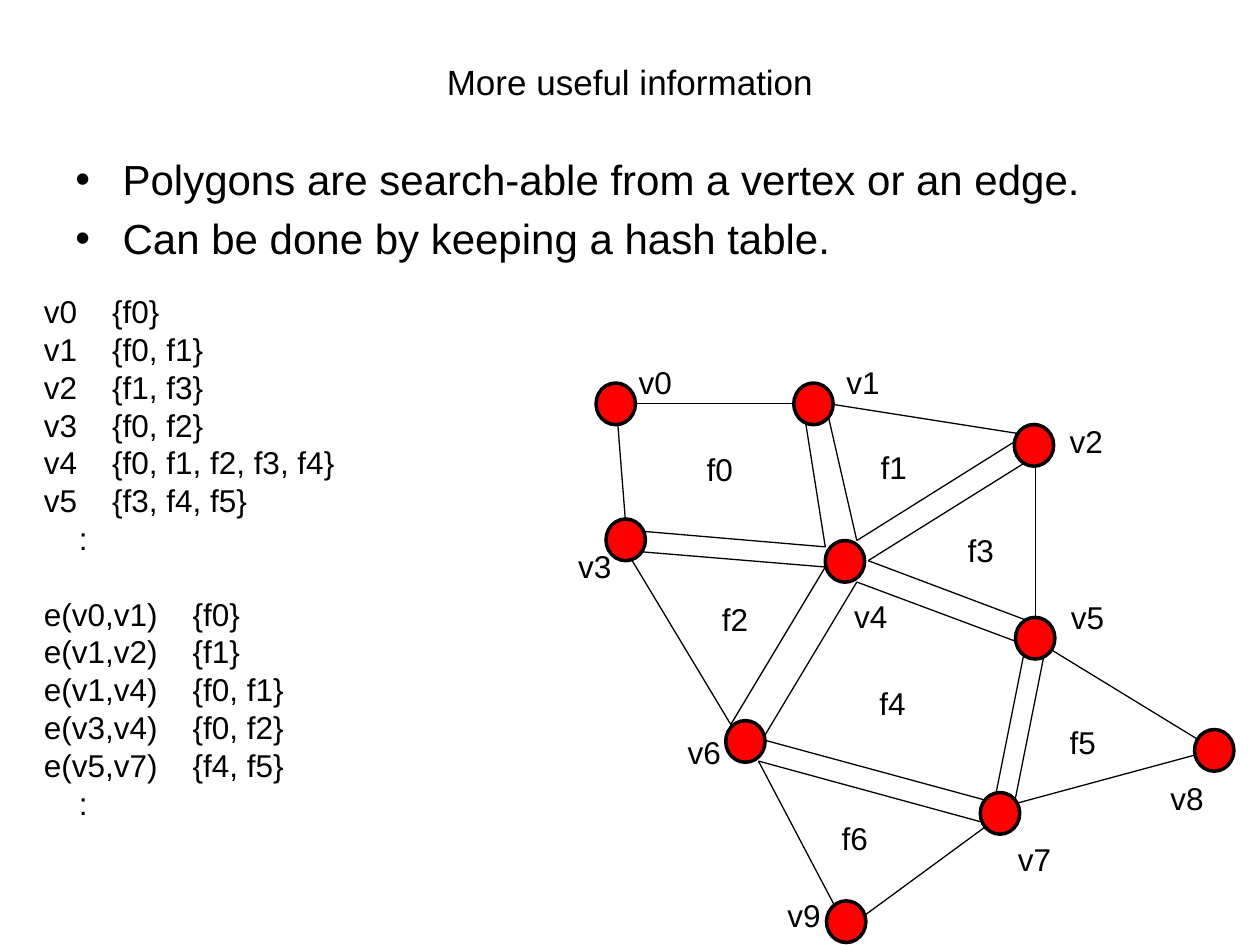
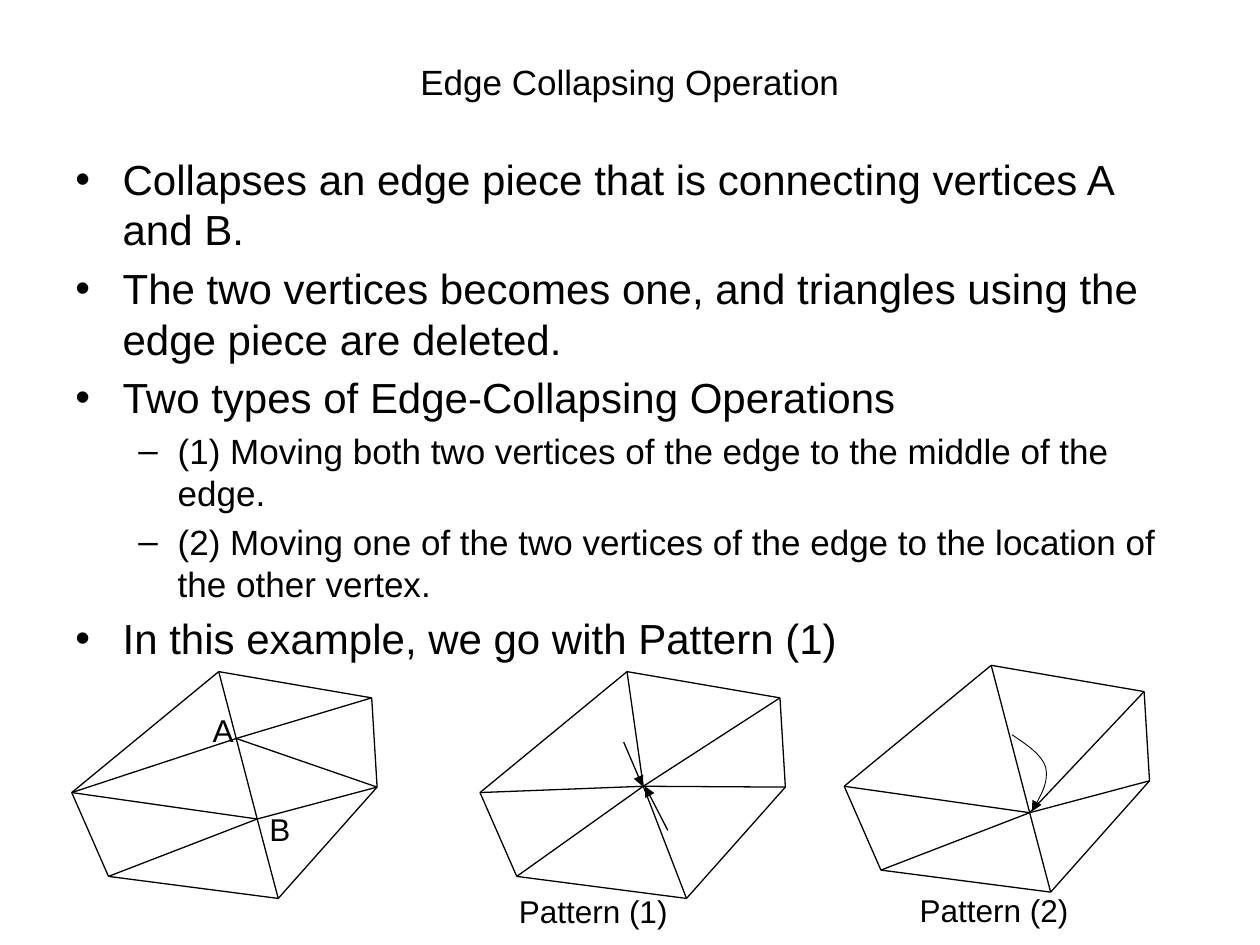
from pptx import Presentation
from pptx.dml.color import RGBColor
from pptx.enum.shapes import MSO_CONNECTOR, MSO_SHAPE
from pptx.enum.text import MSO_ANCHOR, PP_ALIGN
from pptx.oxml.ns import qn
from pptx.util import Pt
from lxml.etree import SubElement

COLORS = {"ink": "000000", "vertex": "FF0000"}
FONT = "Arial"
LEVELS = [
    {"size": 24, "margin": 27, "hang": 27, "bullet": "•"},
    {"size": 20, "margin": 58.5, "hang": 22.5, "bullet": "–"},
]

HASH_POINTS = [(0, "Polygons are search-able from a vertex or an edge."),
               (0, "Can be done by keeping a hash table.")]
VERTEX_FACES = [("v0", "{f0}"), ("v1", "{f0, f1}"), ("v2", "{f1, f3}"),
                ("v3", "{f0, f2}"), ("v4", "{f0, f1, f2, f3, f4}"),
                ("v5", "{f3, f4, f5}")]
EDGE_FACES = [("e(v0,v1)", "{f0}"), ("e(v1,v2)", "{f1}"), ("e(v1,v4)", "{f0, f1}"),
              ("e(v3,v4)", "{f0, f2}"), ("e(v5,v7)", "{f4, f5}")]
FACES = {
    "f0": ((396.7, 253.4), [(352.1, 230.4), (357.8, 302.8), (471.6, 312.5), (458.6, 230.4)]),
    "f1": ((496.1, 252.7), [(471.6, 230.4), (489.6, 308.9), (586.1, 248.4)]),
    "f2": ((405.4, 339.1), [(471.6, 324), (417.6, 414), (357.8, 314.6)]),
    "f3": ((545.8, 300.2), [(496.1, 320.4), (591.8, 356.4), (591.8, 260.6)]),
    "f4": ((495.4, 387.4), [(489.6, 332.6), (435.6, 422.6), (568.1, 458.6), (586.1, 368.6)]),
    "f5": ((604.1, 409.7), [(694.1, 428.4), (597.6, 369.4), (579.6, 459.4)]),
    "f6": ((473.8, 464.4), [(433.4, 434.9), (483.8, 530.6), (565.2, 470.9)]),
}
VERTICES = {
    "v0": ((340.6, 218.9), (357.8, 203.8)),
    "v1": ((453.6, 218.9), (476.6, 203.8)),
    "v2": ((579.6, 242.6), (604.1, 237.6)),
    "v3": ((346.3, 296.6), (323.3, 308.9)),
    "v4": ((471.6, 308.9), (481, 337.7)),
    "v5": ((580.3, 352.8), (604.8, 338.4)),
    "v6": ((414.7, 411.8), (385.9, 415.4)),
    "v7": ((560.2, 452.9), (574.6, 476.6)),
    "v8": ((682.6, 416.9), (661.7, 441.4)),
    "v9": ((472.3, 514.8), (442.8, 508.3)),
}

COLLAPSE_POINTS = [
    (0, "Collapses an edge piece that is connecting vertices A and B."),
    (0, "The two vertices becomes one, and triangles using the edge piece are deleted."),
    (0, "Two types of Edge-Collapsing Operations"),
    (1, "(1) Moving both two vertices of the edge to the middle of the edge."),
    (1, "(2) Moving one of the two vertices of the edge to the location of the other vertex."),
    (0, "In this example, we go with Pattern (1)"),
]
RIM = ["top", "upper", "right", "bottom", "lower", "left"]
MESH = {"top": (84, 0), "upper": (171.4, 15), "right": (174.5, 66),
        "bottom": (118, 129.6), "lower": (21, 117), "left": (0, 69.1),
        "A": (94, 38.2), "B": (106, 84.2), "middle": (93.3, 65.5)}
COLLAPSES = [
    ((41, 383.8), {"A": ["top", "left", "upper", "right", "B"],
                   "B": ["left", "right", "lower", "bottom"]}),
    ((274.3, 383.8), {"middle": RIM}),
    ((482.4, 380.2), {"A": ["top", "B"],
                      "B": ["upper", "left", "right", "lower", "bottom"]}),
]
MERGE_ARROWS = [((356.4, 424.1), (367.2, 449.3)), ((381.6, 474.5), (368.6, 449.3))]
MOVE_CURVE = [(578.2, 419.8), (586.8, 425.5), (595.4, 431.3), (597.6, 438.5),
              (599, 446.4), (594.7, 455), (589.7, 463.7)]
CAPTIONS = {"A": (114.5, 402.5), "B": (146.9, 459.4),
            "Pattern (1)": (289.4, 506.2), "Pattern (2)": (518.4, 505.4)}


class Deck:
    """Holds the shared style and draws on the current slide."""

    def __init__(self):
        self.show = Presentation()
        self.show.slide_width, self.show.slide_height = Pt(720), Pt(540)
        self.shapes = None

    def slide(self, title, points):
        self.shapes = self.show.slides.add_slide(self.show.slide_layouts[6]).shapes
        heading = self.frame(36, 21.6, 648, 50.4)
        heading.vertical_anchor = MSO_ANCHOR.MIDDLE
        self.add_words(heading.paragraphs[0], title, 20)
        heading.paragraphs[0].alignment = PP_ALIGN.CENTER
        self.bullets(points)

    def frame(self, left, top, width, height):
        frame = self.shapes.add_textbox(Pt(left), Pt(top), Pt(width), Pt(height)).text_frame
        frame.word_wrap = True
        return frame

    def add_words(self, paragraph, text, size=18):
        run = paragraph.add_run()
        run.text = text
        run.font.size, run.font.name = Pt(size), FONT
        run.font.color.rgb = RGBColor.from_string(COLORS["ink"])

    def paragraph(self, frame, first):
        return frame.paragraphs[0] if first else frame.add_paragraph()

    def bullets(self, points):
        body = self.frame(36, 84.2, 648, 398)
        for index, (depth, text) in enumerate(points):
            level = LEVELS[depth]
            point = self.paragraph(body, index == 0)
            point.level = depth
            point.space_before = Pt(level["size"] * 0.2)
            props = point._p.get_or_add_pPr()
            props.set("marL", str(Pt(level["margin"])))
            props.set("indent", str(-Pt(level["hang"])))
            SubElement(props, qn("a:buFont"), typeface=FONT)
            SubElement(props, qn("a:buChar"), char=level["bullet"])
            self.add_words(point, text, level["size"])

    def lookup(self, frame, rows, column, gap=0):
        for index, (key, faces) in enumerate(rows):
            entry = self.paragraph(frame, not frame.text)
            entry.space_before = Pt(0 if index else gap)
            stops = SubElement(entry._p.get_or_add_pPr(), qn("a:tabLst"))
            SubElement(stops, qn("a:tab"), pos=str(Pt(column)), algn="l")
            self.add_words(entry, f"{key}\t{faces}")
        more = frame.add_paragraph()
        more._p.get_or_add_pPr().set("marL", str(Pt(20)))
        self.add_words(more, ":")

    def label(self, text, place, width=57):
        self.add_words(self.frame(*place, width, 28.8).paragraphs[0], text)

    def stroke(self, line, weight, arrow=False):
        line.color.rgb = RGBColor.from_string(COLORS["ink"])
        line.width = Pt(weight)
        if arrow:
            SubElement(line._get_or_add_ln(), qn("a:tailEnd"), type="triangle")

    def line(self, start, end, arrow=False):
        edge = self.shapes.add_connector(
            MSO_CONNECTOR.STRAIGHT, *(Pt(value) for value in (*start, *end)))
        self.stroke(edge.line, 0.75, arrow)
        SubElement(edge._element.spPr, qn("a:effectLst"))

    def loop(self, corners):
        for start, end in zip(corners, corners[1:] + corners[:1]):
            self.line(start, end)

    def vertex(self, place):
        left, top = place
        dot = self.shapes.add_shape(MSO_SHAPE.OVAL, Pt(left), Pt(top), Pt(22.5), Pt(23.8))
        dot.shadow.inherit = False
        dot.fill.solid()
        dot.fill.fore_color.rgb = RGBColor.from_string(COLORS["vertex"])
        self.stroke(dot.line, 2)

    def curve(self, points):
        start, *rest = [(Pt(x), Pt(y)) for x, y in points]
        builder = self.shapes.build_freeform(*start)
        builder.add_line_segments(rest, close=False)
        arc = builder.convert_to_shape()
        arc.shadow.inherit = False
        arc.fill.background()
        self.stroke(arc.line, 0.5, arrow=True)
        outline = arc._element.find(".//" + qn("a:path"))
        segments = outline.findall(qn("a:lnTo"))
        for first in range(0, len(segments), 3):
            bezier = SubElement(outline, qn("a:cubicBezTo"))
            for segment in segments[first:first + 3]:
                bezier.append(segment[0])
                outline.remove(segment)


def hash_table_slide(deck):
    """Draw the lookup lists beside the mesh of faces and vertices."""
    deck.slide("More useful information", HASH_POINTS)
    for _, corners in FACES.values():
        deck.loop(corners)
    for place, _ in VERTICES.values():
        deck.vertex(place)
    for name, (_, place) in VERTICES.items():
        deck.label(name, place)
    for name, (place, _) in FACES.items():
        deck.label(name, place)
    listing = deck.frame(18, 163.4, 275.8, 334)
    deck.lookup(listing, VERTEX_FACES, 39)
    deck.lookup(listing, EDGE_FACES, 85, gap=21.6)


def edge_collapse_slide(deck):
    """Draw the mesh before and after each way of collapsing edge AB."""
    deck.slide("Edge Collapsing Operation", COLLAPSE_POINTS)
    for (left, top), spokes in COLLAPSES:
        mesh = {name: (left + x, top + y) for name, (x, y) in MESH.items()}
        deck.loop([mesh[name] for name in RIM])
        for hub, ends in spokes.items():
            for end in ends:
                deck.line(mesh[hub], mesh[end])
    for start, end in MERGE_ARROWS:
        deck.line(start, end, arrow=True)
    deck.curve(MOVE_CURVE)
    for text, place in CAPTIONS.items():
        deck.label(text, place, 100)


def main():
    """Build both slides and save the deck."""
    deck = Deck()
    hash_table_slide(deck)
    edge_collapse_slide(deck)
    deck.show.save("out.pptx")


if __name__ == "__main__":
    main()
